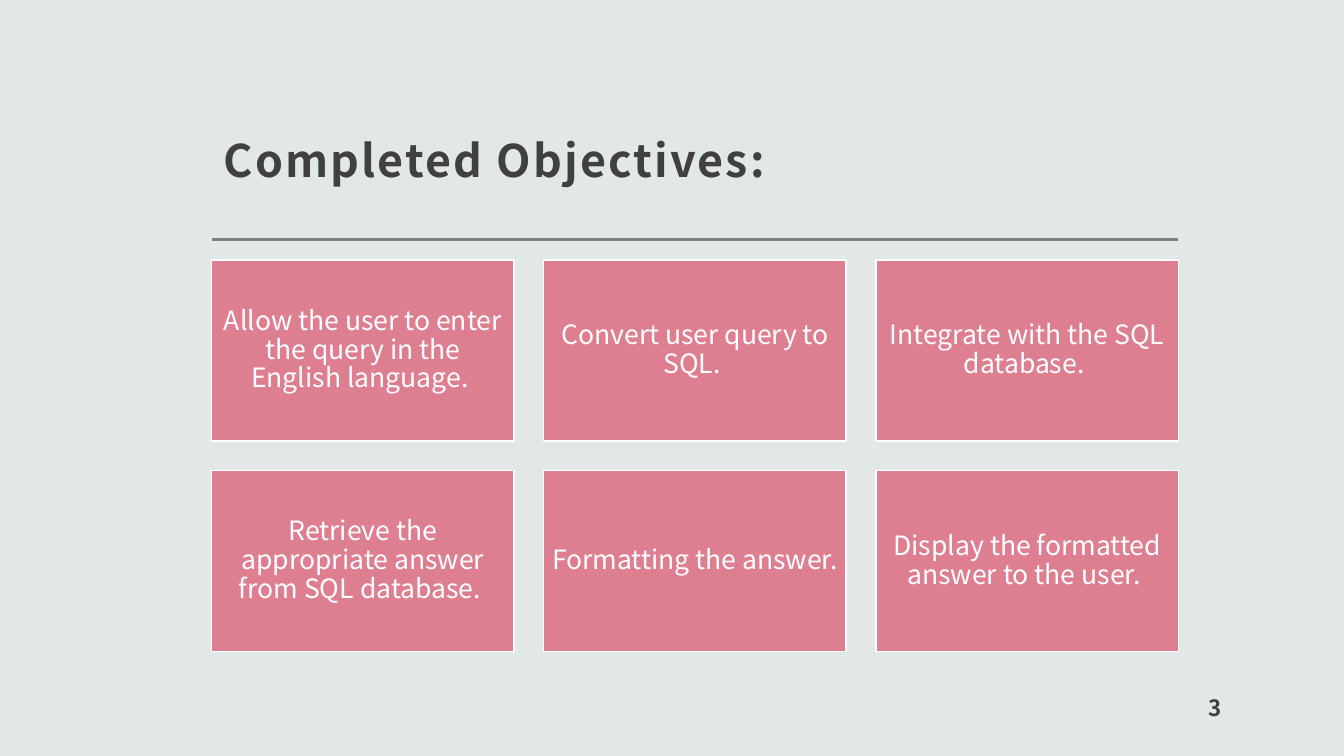
import pptx
import pptx.util
import pptx.dml.color
import pptx.enum.shapes
import pptx.enum.text
import pptx.oxml
import pptx.oxml.ns

Pt = pptx.util.Pt
ALIGN = pptx.enum.text.PP_ALIGN
ANCHOR = pptx.enum.text.MSO_ANCHOR

TITLE = "Completed Objectives:"
OBJECTIVES = [
    "Allow the user to enter the query in the English language. ",
    "Convert user query to SQL. ",
    "Integrate with the SQL database. ",
    "Retrieve the appropriate answer from SQL database. ",
    "Formatting the answer. ",
    "Display the formatted answer to the user. ",
]
PAGE_NUMBER = "3"

FONT = "Noto Sans CJK JP"
COLORS = {"background": "E2E8E7", "tile": "DD7F91", "white": "FFFFFF",
          "text": "404040", "rule": "808080"}
FRAME_MARGINS = (8.64, 8.64, 8.64, 7.2)
TILE_MARGINS = (5.76, 5.76, 5.76, 5.76)

LEFT, CONTENT_WIDTH = 151.2, 690.48
RULE_TOP = 171.36
GRID_TOP = 185.76
COLUMNS = 3
TILE_WIDTH, TILE_HEIGHT = 216, 129.2
GAP = (CONTENT_WIDTH - COLUMNS * TILE_WIDTH) / (COLUMNS - 1)


def color(name):
    return pptx.dml.color.RGBColor.from_string(COLORS[name])


def write_text(shape, text, size, fill="text", bold=False, align=ALIGN.LEFT,
               anchor=ANCHOR.BOTTOM, margins=FRAME_MARGINS, line_spacing=1.0,
               tracking=None):
    frame = shape.text_frame
    frame.word_wrap = True
    frame.auto_size = pptx.enum.text.MSO_AUTO_SIZE.NONE
    frame.vertical_anchor = anchor
    (frame.margin_left, frame.margin_top,
     frame.margin_right, frame.margin_bottom) = [Pt(margin) for margin in margins]
    paragraph = frame.paragraphs[0]
    paragraph.alignment = align
    paragraph.line_spacing = line_spacing
    run = paragraph.add_run()
    run.text = text
    run.font.name = FONT
    run.font.size = Pt(size)
    run.font.bold = bold
    run.font.color.rgb = color(fill)
    if tracking:
        run.font._element.set("spc", str(int(tracking * 100)))


def add_rule(slide):
    rule = slide.shapes.add_connector(
        pptx.enum.shapes.MSO_CONNECTOR.STRAIGHT,
        Pt(LEFT), Pt(RULE_TOP), Pt(LEFT + CONTENT_WIDTH), Pt(RULE_TOP))
    rule.line.color.rgb = color("rule")
    rule.line.width = Pt(2)
    rule._element.spPr.append(
        pptx.oxml.parse_xml("<a:effectLst %s/>" % pptx.oxml.ns.nsdecls("a")))


def add_tile(slide, index, text):
    row, column = divmod(index, COLUMNS)
    tile = slide.shapes.add_shape(
        pptx.enum.shapes.MSO_SHAPE.RECTANGLE,
        Pt(LEFT + column * (TILE_WIDTH + GAP)),
        Pt(GRID_TOP + row * (TILE_HEIGHT + GAP)),
        Pt(TILE_WIDTH), Pt(TILE_HEIGHT))
    tile.shadow.inherit = False
    tile.fill.solid()
    tile.fill.fore_color.rgb = color("tile")
    tile.line.color.rgb = color("white")
    tile.line.width = Pt(1)
    write_text(tile, text, size=19, fill="white", align=ALIGN.CENTER,
               anchor=ANCHOR.MIDDLE, margins=TILE_MARGINS, line_spacing=0.9)


def main():
    presentation = pptx.Presentation()
    presentation.slide_width = Pt(960)
    presentation.slide_height = Pt(540)
    slide = presentation.slides.add_slide(presentation.slide_layouts[5])
    slide.background.fill.solid()
    slide.background.fill.fore_color.rgb = color("background")

    add_rule(slide)
    title = slide.shapes.title
    title.left, title.top = Pt(LEFT), Pt(34.56)
    title.width, title.height = Pt(CONTENT_WIDTH), Pt(105.84)
    write_text(title, TITLE, size=32, bold=True, line_spacing=1.3, tracking=1.5)

    for index, objective in enumerate(OBJECTIVES):
        add_tile(slide, index, objective)

    page_number = slide.shapes.add_textbox(Pt(854.64), Pt(486), Pt(93.6), Pt(36))
    write_text(page_number, PAGE_NUMBER, size=16, bold=True)
    presentation.save("out.pptx")


if __name__ == "__main__":
    main()
